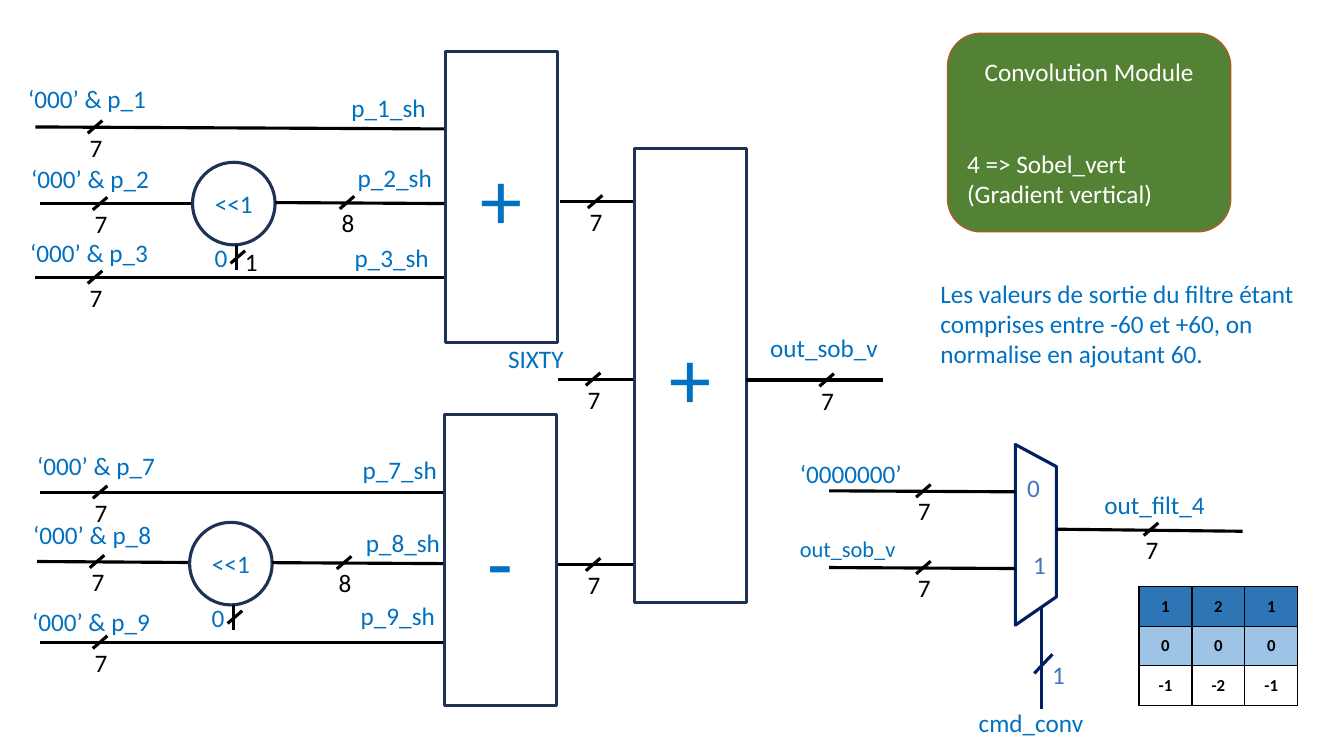
import pptx
import pptx.util
import pptx.dml.color
import pptx.enum.shapes
import pptx.enum.text
import pptx.oxml
import pptx.oxml.ns

Pt = pptx.util.Pt
SHAPE = pptx.enum.shapes.MSO_SHAPE
ALIGN = pptx.enum.text.PP_ALIGN
MIDDLE = pptx.enum.text.MSO_ANCHOR.MIDDLE
BLUE, BLACK, WHITE = "0070C0", "000000", "FFFFFF"
OUTLINE, NAVY, MUX_BLUE = "1E3256", "002060", "4472C4"


def rgb(color):
    return pptx.dml.color.RGBColor.from_string(color)


def write(p, text, size=18, color=BLUE, bold=False, align=ALIGN.LEFT):
    p.alignment = align
    r = p.add_run()
    r.text = text
    r.font.name = "Calibri"
    r.font.size = Pt(size)
    r.font.bold = bold
    r.font.color.rgb = rgb(color)


def label(s, x, y, text, w=110, h=29, wrap=True, **fmt):
    tf = s.shapes.add_textbox(Pt(x), Pt(y), Pt(w), Pt(h)).text_frame
    tf.word_wrap = wrap
    write(tf.paragraphs[0], text, **fmt)


def line(s, x1, y1, x2, y2, color=BLACK):
    cn = s.shapes.add_connector(
        pptx.enum.shapes.MSO_CONNECTOR.STRAIGHT, Pt(x1), Pt(y1), Pt(x2), Pt(y2))
    cn.line.color.rgb = rgb(color)
    cn.line.width = Pt(2.25)
    effects = pptx.oxml.parse_xml("<a:effectLst %s/>" % pptx.oxml.ns.nsdecls("a"))
    cn._element.spPr.append(effects)


def tick(s, x, y):
    line(s, x - 5.2, y + 4.5, x + 5.2, y - 4.5)


def wire(s, x1, y1, x2, y2, tick_dx, bits="7"):
    line(s, x1, y1, x2, y2)
    tick(s, x1 + tick_dx, y1)
    label(s, x1 + tick_dx - 11, y1, bits, w=24, wrap=False, color=BLACK)


def outline(sp, color=OUTLINE, width=2.25, fill=None):
    sp.shadow.inherit = False
    if fill:
        sp.fill.solid()
        sp.fill.fore_color.rgb = rgb(fill)
    else:
        sp.fill.background()
    sp.line.color.rgb = rgb(color)
    sp.line.width = Pt(width)


def block(s, kind, x, y, w, h, text, size):
    sp = s.shapes.add_shape(kind, Pt(x), Pt(y), Pt(w), Pt(h))
    outline(sp)
    tf = sp.text_frame
    tf.word_wrap = False
    tf.vertical_anchor = MIDDLE
    write(tf.paragraphs[0], text, size=size, align=ALIGN.CENTER)


def shifter(s, x, y, size, end, control_bits):
    block(s, SHAPE.OVAL, x, y, size, size, "<<1", 18)
    line(s, x + 31.7, y + 77, x + 31.7, y + size)
    label(s, x + 8.7, y + 53.3, "0", w=26)
    tick(s, x + 32.4, y + 67.7)
    if control_bits:
        label(s, x + 30.3, y + 56.2, control_bits, w=24, wrap=False, color=BLACK)
    wire(s, x + size, y + 28.8, end, y + 29.5, 51.4, "8")


def stage(s, x, y, w, h, sign, rows, shift_at, control_bits=""):
    op_w = 80
    op_x = x + w - op_w
    shift_x, shift_y = x + shift_at[0], y + shift_at[1]
    for i, (name, wx, wy, slope, lx, ly, ox, oy) in enumerate(rows):
        end = shift_x if i == 1 else op_x
        label(s, x + lx, y + ly, "‘000’ & " + name)
        wire(s, x + wx, y + wy, end, y + wy + slope, 42.7)
        label(s, x + ox, y + oy, name + "_sh", w=81)
    shifter(s, shift_x, shift_y, 59, op_x, control_bits)
    block(s, SHAPE.RECTANGLE, op_x, y, op_w, h, sign, 60)


def adder(s, x, y, w, h):
    for dx, dy in ((-53.3, 38.3), (-54.7, 165), (-54.7, 297.4)):
        wire(s, x + dx, y + dy, x + dx + 54, y + dy, 25.4)
    label(s, x - 97.2, y + 136, "SIXTY", w=68)
    block(s, SHAPE.RECTANGLE, x, y, w, h, "+", 60)
    wire(s, x + w, y + 165.6, x + w + 98, y + 165.6, 57.5)
    label(s, x + w + 10, y + 128.2, "out_sob_v")


def mux(s, x, y, w, h):
    fb = s.shapes.build_freeform(Pt(x), Pt(y))
    corners = ((w, 15.8), (w, h - 20.2), (0, h))
    fb.add_line_segments([(Pt(x + dx), Pt(y + dy)) for dx, dy in corners], close=True)
    outline(fb.convert_to_shape(), NAVY)
    inputs = ((33.1, 6.5, "‘0000000’", 18), (87.9, 61.2, "out_sob_v", 16))
    for dy, label_dy, name, size in inputs:
        wire(s, x - 133, y + dy, x, y + dy + 0.7, 67.3)
        label(s, x - 161, y + label_dy, name, w=93, size=size)
    digits = ((0, 16.6, 26, "0"), (2.9, 71.3, 28.8, "1"), (13.5, 149.8, 34.6, "1"))
    for dx, dy, dw, digit in digits:
        label(s, x + dx, y + dy, digit, w=dw, color=MUX_BLUE, align=ALIGN.CENTER)
    line(s, x + 18.6, y + 188.7, x + 18.6, y + 116, NAVY)
    line(s, x + 13.5, y + 163.5, x + 26.5, y + 149.8, NAVY)
    label(s, x - 33.3, y + 184.3, "cmd_conv")
    wire(s, x + w, y + 60.5, x + w + 133, y + 62, 67.6)
    label(s, x + w + 27.2, y + 28.8, "out_filt_4")


def title_box(s, x, y, w, h):
    sp = s.shapes.add_shape(SHAPE.ROUNDED_RECTANGLE, Pt(x), Pt(y), Pt(w), Pt(h))
    outline(sp, "AF5C24", 1, "548235")
    tf = sp.text_frame
    tf.word_wrap = True
    tf.vertical_anchor = MIDDLE
    write(tf.paragraphs[0], "Convolution Module", color=WHITE, align=ALIGN.CENTER)
    for text, gap in (("4 => Sobel_vert", 44), ("(Gradient vertical)", 0)):
        p = tf.add_paragraph()
        p.space_before = Pt(gap)
        write(p, text, color=WHITE)


def border(cell):
    tcPr = cell._tc.get_or_add_tcPr()
    for side in "LRTB":
        tcPr.append(pptx.oxml.parse_xml(
            '<a:ln%s %s w="12700"><a:solidFill><a:srgbClr val="%s"/></a:solidFill></a:ln%s>'
            % (side, pptx.oxml.ns.nsdecls("a"), BLACK, side)))


def kernel(s, x, y, w, h):
    values = ((1, 2, 1), (0, 0, 0), (-1, -2, -1))
    fills = ("2E75B6", "9DC3E6", None)
    tb = s.shapes.add_table(3, 3, Pt(x), Pt(y), Pt(w), Pt(h)).table
    tb.first_row = tb.horz_banding = False
    for i in range(3):
        tb.columns[i].width = Pt(w / 3)
        tb.rows[i].height = Pt(h / 3)
        for j in range(3):
            cell = tb.cell(i, j)
            border(cell)
            if fills[i]:
                cell.fill.solid()
                cell.fill.fore_color.rgb = rgb(fills[i])
            else:
                cell.fill.background()
            cell.vertical_anchor = MIDDLE
            cell.margin_left = cell.margin_right = Pt(5)
            cell.margin_top = cell.margin_bottom = Pt(2.2)
            write(cell.text_frame.paragraphs[0], str(values[i][j]), size=12,
                  color=BLACK, bold=True, align=ALIGN.CENTER)


TOP_ROWS = (("p_1", 13.2, 54, 1.4, 1, 19.5, 232, 26),
            ("p_2", 16.8, 108.7, 0, 3.1, 76.3, 236.4, 75.6),
            ("p_3", 13.2, 161.3, 0, 2.4, 129, 234.2, 132.5))
BOTTOM_ROWS = (("p_7", 16.8, 55.5, 0, 7.4, 22.3, 240, 25.2),
               ("p_8", 14.6, 105.1, 0.7, 4.6, 71.3, 242.2, 77.1),
               ("p_9", 16.8, 162.7, 0, 3.8, 133.2, 238.6, 129.6))

prs = pptx.Presentation()
prs.slide_width, prs.slide_height = Pt(960), Pt(540)
s = prs.slides.add_slide(prs.slide_layouts[6])
stage(s, 12, 36.7, 386, 208, "+", TOP_ROWS, (125.5, 79.2), "1")
stage(s, 12, 296, 385.5, 208, "-", BOTTOM_ROWS, (123.4, 77.1))
adder(s, 453, 105.8, 80, 324.7)
mux(s, 725.3, 317.5, 29.3, 129)
title_box(s, 676.8, 23.8, 202.3, 141.8)
label(s, 664.6, 195.1, "Les valeurs de sortie du filtre étant comprises entre -60 et +60, "
      "on normalise en ajoutant 60.", w=289.4, h=72.7)
kernel(s, 813.6, 419, 113.4, 85)
prs.save("out.pptx")
